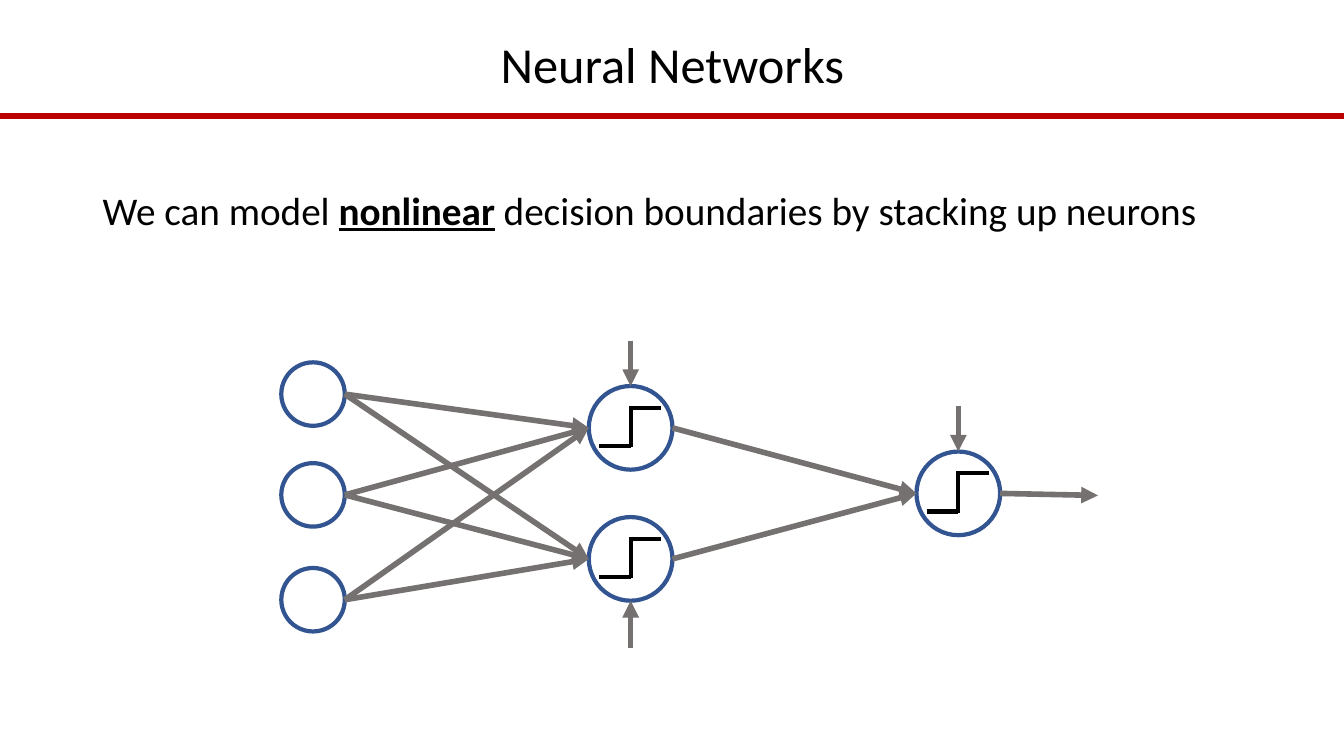
from lxml import etree
from pptx import Presentation
from pptx.dml.color import RGBColor
from pptx.enum.shapes import MSO_CONNECTOR, MSO_SHAPE
from pptx.enum.text import MSO_ANCHOR, PP_ALIGN
from pptx.oxml.ns import qn
from pptx.util import Inches, Pt

STRAIGHT = MSO_CONNECTOR.STRAIGHT
OVAL = MSO_SHAPE.OVAL
TOP, MIDDLE = MSO_ANCHOR.TOP, MSO_ANCHOR.MIDDLE
LEFT, CENTER = PP_ALIGN.LEFT, PP_ALIGN.CENTER

BLACK = RGBColor(0x00, 0x00, 0x00)
RED = RGBColor(0xBB, 0x00, 0x00)
BLUE = RGBColor(0x32, 0x54, 0x91)
GRAY = RGBColor(0x76, 0x71, 0x71)

INPUT_SIZE, NEURON_SIZE = 0.63, 0.83


def add_line(s, start, end, color, width, arrow=False):
    """Draw a straight line, with an arrowhead at its end if asked."""
    line = s.shapes.add_connector(STRAIGHT, *map(Inches, (*start, *end)))
    line.line.color.rgb = color
    line.line.width = Pt(width)
    if arrow:
        etree.SubElement(line.line._get_or_add_ln(), qn("a:tailEnd"), type="triangle")
    etree.SubElement(line._element.spPr, qn("a:effectLst"))


def add_arrow(s, start, end):
    """Draw a gray signal arrow."""
    add_line(s, start, end, GRAY, 4, arrow=True)


def add_text(s, box, runs, size, align=LEFT, anchor=TOP, spacing=1.0):
    """Write one paragraph of (text, font attributes) runs in a box."""
    tf = s.shapes.add_textbox(*map(Inches, box)).text_frame
    tf.word_wrap = True
    tf.vertical_anchor = anchor
    p = tf.paragraphs[0]
    p.alignment = align
    p.line_spacing = spacing
    for text, extra in runs:
        r = p.add_run()
        r.text = text
        r.font.color.rgb = BLACK
        for name, value in {"name": "Calibri", "size": Pt(size), **extra}.items():
            setattr(r.font, name, value)


def add_node(s, center, size):
    """Draw an outlined circle around a center point."""
    x, y = center
    node = s.shapes.add_shape(
        OVAL, *map(Inches, (x - size / 2, y - size / 2, size, size)))
    node.shadow.inherit = False
    node.fill.background()
    node.line.color.rgb = BLUE
    node.line.width = Pt(3)


def add_neuron(s, center):
    """Draw a circle holding a step activation."""
    add_node(s, center, NEURON_SIZE)
    x, y = center
    low, high = y + 0.18, y - 0.2
    for start, end in (((x - 0.31, low), (x, low)),
                       ((x - 0.01, high), (x + 0.3, high)),
                       ((x, high - 0.02), (x, low + 0.01))):
        add_line(s, start, end, BLACK, 3)


def add_layer_links(s, sources, source_size, targets):
    """Join every source node to every neuron of the next layer."""
    for x, y in sources:
        for tx, ty in targets:
            add_arrow(s, (x + source_size / 2, y), (tx - NEURON_SIZE / 2, ty))


def add_header(s, box):
    """Place the centered title and the full-width rule below it."""
    left, top, width, height = box
    add_text(s, (left + 0.92, top + 0.34, width - 1.83, 0.66),
             [("Neural Networks", {})], 36, CENTER, MIDDLE, 0.9)
    add_line(s, (left, top + height), (left + width, top + height), RED, 4)


def add_network(s, box):
    """Draw inputs, a hidden layer, the output neuron and bias arrows."""
    left, top, width, height = box
    radius = NEURON_SIZE / 2
    inputs = [(left + INPUT_SIZE / 2, top + y) for y in (0.54, 1.54, 2.58)]
    hidden = [(left + 3.465, top + y) for y in (0.875, 2.175)]
    output = (left + 6.715, top + 1.525)

    for center in inputs:
        add_node(s, center, INPUT_SIZE)
    for center in (*hidden, output):
        add_neuron(s, center)
    add_layer_links(s, inputs, INPUT_SIZE, hidden)
    add_layer_links(s, hidden, NEURON_SIZE, [output])
    add_arrow(s, (output[0] + radius, output[1]), (left + width, output[1] + 0.02))
    for x, y in (hidden[0], output):
        add_arrow(s, (x, y - radius - 0.45), (x, y - radius))
    x, y = hidden[1]
    add_arrow(s, (x, top + height), (x, y + radius))


def main():
    """Build and save the slide."""
    prs = Presentation()
    prs.slide_width, prs.slide_height = Inches(13.33), Inches(7.5)
    s = prs.slides.add_slide(prs.slide_layouts[6])
    add_header(s, (0, 0, 13.33, 1.15))
    add_text(s, (0.92, 1.8, 11.5, 0.58),
             [("We can model ", {}),
              ("nonlinear", {"bold": True, "underline": True}),
              (" decision boundaries by stacking up neurons", {})], 28)
    add_network(s, (2.79, 3.37, 8.1, 3.06))
    prs.save("out.pptx")


if __name__ == "__main__":
    main()
